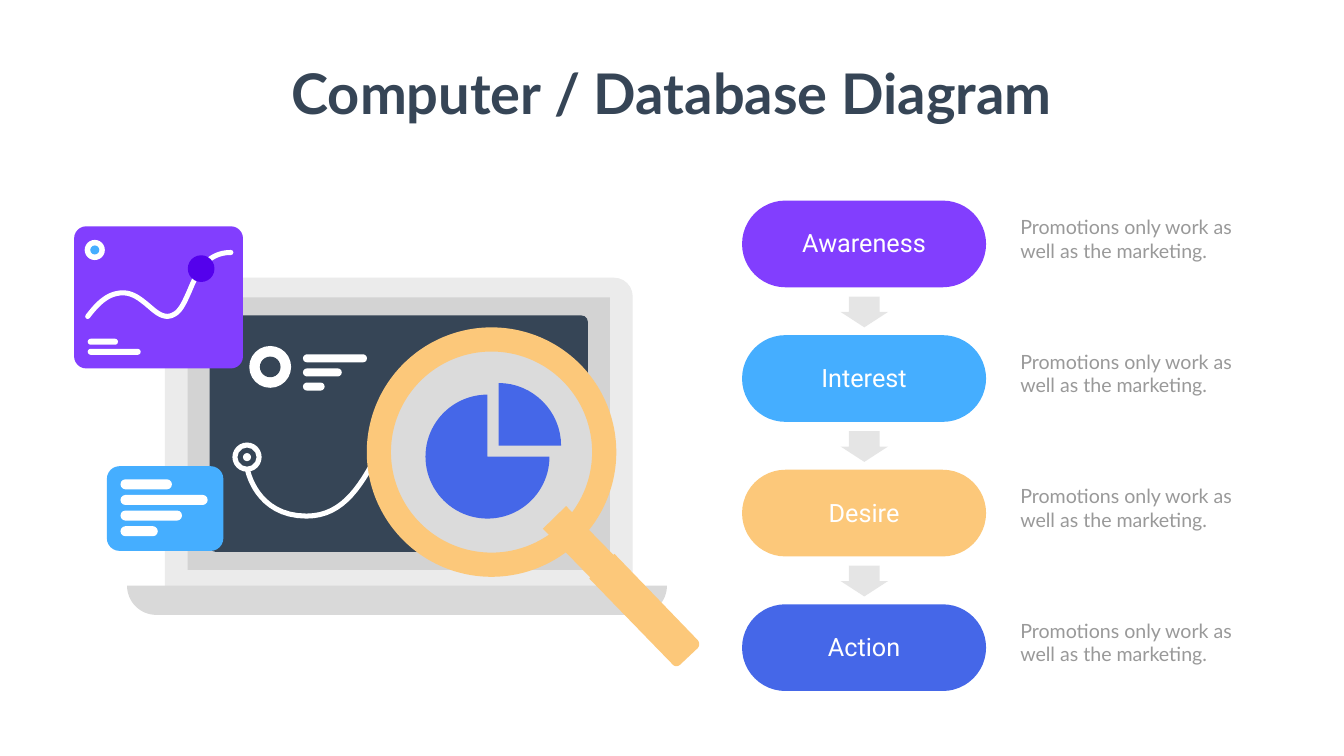
from dataclasses import dataclass

from lxml import etree
from pptx import Presentation
from pptx.dml.color import RGBColor
from pptx.enum.shapes import MSO_SHAPE as SHAPE
from pptx.enum.text import MSO_AUTO_SIZE as AUTO, PP_ALIGN as ALIGN
from pptx.oxml.ns import qn
from pptx.util import Inches, Pt


@dataclass(frozen=True)
class Theme:
    white: str = "FFFFFF"
    navy: str = "364556"
    purple: str = "823EFE"
    violet: str = "5401EC"
    sky: str = "45AEFF"
    amber: str = "FCC87A"
    blue: str = "4567E8"
    lid: str = "EBEBEB"
    bezel: str = "D3D3D3"
    base: str = "D9D9D9"
    lens: str = "DBDBDB"
    arrow: str = "808080"
    body: str = "999999"
    title_size: int = 80
    label_size: int = 36
    body_size: int = 28
    heading_font: str = "Lato"
    label_font: str = "Roboto"


def trace(start, segments, steps=16):
    points = [start]
    for seg in segments:
        if len(seg) == 1:
            points.append(seg[0])
            continue
        p0, (p1, p2, p3) = points[-1], seg
        for i in range(1, steps + 1):
            t = i / steps
            u = 1 - t
            points.append(tuple(
                u**3 * a + 3 * u * u * t * b + 3 * u * t * t * c + t**3 * d
                for a, b, c, d in zip(p0, p1, p2, p3)))
    return points


class Deck:
    def __init__(self, prs, theme):
        self.theme = theme
        self.s = prs.slides.add_slide(prs.slide_layouts[6])

    def paint(self, sp, color):
        sp.shadow.inherit = False
        sp.fill.solid()
        sp.fill.fore_color.rgb = RGBColor.from_string(color)
        sp.line.fill.background()
        return sp

    def shape(self, kind, x, y, w, h, color, adj=()):
        sp = self.s.shapes.add_shape(kind, Inches(x), Inches(y), Inches(w), Inches(h))
        for i, value in enumerate(adj):
            sp.adjustments[i] = value
        return self.paint(sp, color)

    def rounded(self, x, y, w, h, color, radius):
        return self.shape(SHAPE.ROUNDED_RECTANGLE, x, y, w, h, color, [radius / min(w, h)])

    def bars(self, x, y, widths, h, pitch):
        for i, w in enumerate(widths):
            self.rounded(x, y + i * pitch, w, h, self.theme.white, h / 2)

    def disc(self, cx, cy, d, color):
        return self.shape(SHAPE.OVAL, cx - d / 2, cy - d / 2, d, d, color)

    def ring(self, cx, cy, d, thickness, color):
        return self.shape(SHAPE.DONUT, cx - d / 2, cy - d / 2, d, d, color, [thickness / d])

    def freeform(self, start, segments, close):
        points = [(Inches(x), Inches(y)) for x, y in trace(start, segments)]
        fb = self.s.shapes.build_freeform(*points[0])
        fb.add_line_segments(points[1:], close=close)
        return fb.convert_to_shape()

    def outline(self, start, segments, color):
        return self.paint(self.freeform(start, segments, True), color)

    def stroke(self, start, segments, color, width):
        sp = self.freeform(start, segments, False)
        sp.shadow.inherit = False
        sp.fill.background()
        sp.line.color.rgb = RGBColor.from_string(color)
        sp.line.width = Inches(width)
        ln = sp.line._get_or_add_ln()
        ln.set("cap", "rnd")
        etree.SubElement(ln, qn("a:round"))

    def arrow(self, x, y, w, h):
        sp = self.shape(SHAPE.RIGHT_ARROW, x, y, w, h, self.theme.arrow, [0.65, 0.5])
        sp.rotation = 90
        clr = sp.fill._xPr.find(qn("a:solidFill"))[0]
        etree.SubElement(clr, qn("a:alpha")).set("val", "20000")

    def text(self, x, y, w, h, text, font, size, color, align=ALIGN.LEFT, bold=False, wrap=True):
        tf = self.s.shapes.add_textbox(Inches(x), Inches(y), Inches(w), Inches(h)).text_frame
        tf.word_wrap = wrap
        tf.auto_size = AUTO.SHAPE_TO_FIT_TEXT
        tf.text = text
        p = tf.paragraphs[0]
        p.alignment = align
        f = p.runs[0].font
        f.name, f.size, f.bold = font, Pt(size), bold
        f.color.rgb = RGBColor.from_string(color)


def draw_laptop(d, t):
    d.rounded(3.27, 5.51, 9.28, 6.49, t.lid, 0.37)
    d.shape(SHAPE.RECTANGLE, 3.72, 5.9, 8.38, 5.41, t.bezel)
    d.rounded(4.16, 6.26, 7.5, 4.69, t.navy, 0.12)
    d.outline((2.52, 11.62), [
        [(13.23, 11.62)],
        [(13.23, 11.94), (12.97, 12.2), (12.65, 12.2)],
        [(3.1, 12.2)],
        [(2.78, 12.2), (2.52, 11.94), (2.52, 11.62)],
    ], t.base)
    d.stroke((4.91, 9.32), [
        [(4.91, 9.32), (5.08, 10.24), (6.08, 10.24)],
        [(6.84, 10.24), (7.19, 9.58), (7.56, 8.88)],
        [(7.9, 8.25), (8.24, 7.6), (8.9, 7.38)],
        [(9.6, 7.14), (10.6, 7.3), (11.03, 7.97)],
    ], t.white, 0.1)
    d.disc(4.9, 9.07, 0.5, t.navy)
    d.ring(4.9, 9.07, 0.58, 0.1, t.white)
    d.disc(4.9, 9.07, 0.16, t.white)
    d.disc(5.36, 7.28, 0.83, t.white)
    d.disc(5.36, 7.28, 0.41, t.navy)
    d.bars(6.01, 7.03, [1.27, 0.77, 0.43], 0.16, 0.28)


def draw_magnifier(d, t):
    cx, cy = 9.75, 8.97
    d.disc(cx, cy, 4.21, t.lens)
    d.ring(cx, cy, 4.95, 0.48, t.amber)
    d.outline((11.23, 10.04), [
        [(11.68, 10.51)], [(12.17, 11.01)], [(12.19, 10.99)], [(13.84, 12.7)],
        [(13.88, 12.75), (13.88, 12.81), (13.84, 12.86)],
        [(13.5, 13.18)],
        [(13.45, 13.23), (13.38, 13.23), (13.34, 13.18)],
        [(11.69, 11.48)], [(11.71, 11.46)], [(10.77, 10.49)],
    ], t.amber)


def draw_cards(d, t):
    d.rounded(1.47, 4.49, 3.35, 2.82, t.purple, 0.24)
    d.stroke((1.74, 6.28), [
        [(1.87, 6.11), (2.07, 5.86), (2.34, 5.82)],
        [(2.6, 5.77), (2.78, 5.93), (2.95, 6.07)],
        [(3.12, 6.22), (3.27, 6.34), (3.45, 6.24)],
        [(3.59, 6.17), (3.67, 5.97), (3.76, 5.77)],
        [(3.91, 5.41), (4.09, 5.01), (4.58, 5.01)],
    ], t.white, 0.1)
    d.bars(1.74, 6.72, [0.6, 1.05], 0.12, 0.2)
    d.disc(1.88, 4.96, 0.4, t.white)
    d.disc(1.88, 4.96, 0.18, t.sky)
    d.disc(3.99, 5.33, 0.53, t.violet)
    d.rounded(2.12, 9.25, 2.31, 1.68, t.sky, 0.25)
    d.bars(2.39, 9.51, [1.02, 1.73, 1.22, 0.74], 0.2, 0.31)


def draw_pie(d, t):
    d.outline((9.89, 7.6), [
        [(9.89, 8.84)], [(11.13, 8.84)],
        [(11.13, 8.16), (10.57, 7.6), (9.89, 7.6)],
    ], t.blue)
    d.shape(SHAPE.PIE, 8.44, 7.83, 2.46, 2.46, t.blue)


def draw_funnel(d, t):
    stages = [("Awareness", t.purple), ("Interest", t.sky), ("Desire", t.amber), ("Action", t.blue)]
    pitch = 2.67
    for i, (name, color) in enumerate(stages):
        dy = i * pitch
        d.rounded(14.72, 3.98 + dy, 4.84, 1.72, color, 0.86)
        d.text(15.41, 4.47 + dy, 3.46, 0.71, name, t.label_font, t.label_size, t.white, ALIGN.CENTER)
        d.text(20.14, 4.22 + dy, 4.85, 1.04, "Promotions only work as well as the marketing.",
               t.heading_font, t.body_size, t.body)
        if i < len(stages) - 1:
            d.arrow(16.84, 5.72 + dy, 0.61, 0.94)


def main():
    prs = Presentation()
    prs.slide_width, prs.slide_height = Inches(26.66), Inches(15)
    t = Theme()
    d = Deck(prs, t)
    for draw in (draw_laptop, draw_magnifier, draw_cards, draw_pie, draw_funnel):
        draw(d, t)
    d.text(5.6, 1.12, 15.45, 1.45, "Computer / Database Diagram", t.heading_font,
           t.title_size, t.navy, ALIGN.CENTER, bold=True, wrap=False)
    prs.save("out.pptx")


if __name__ == "__main__":
    main()
